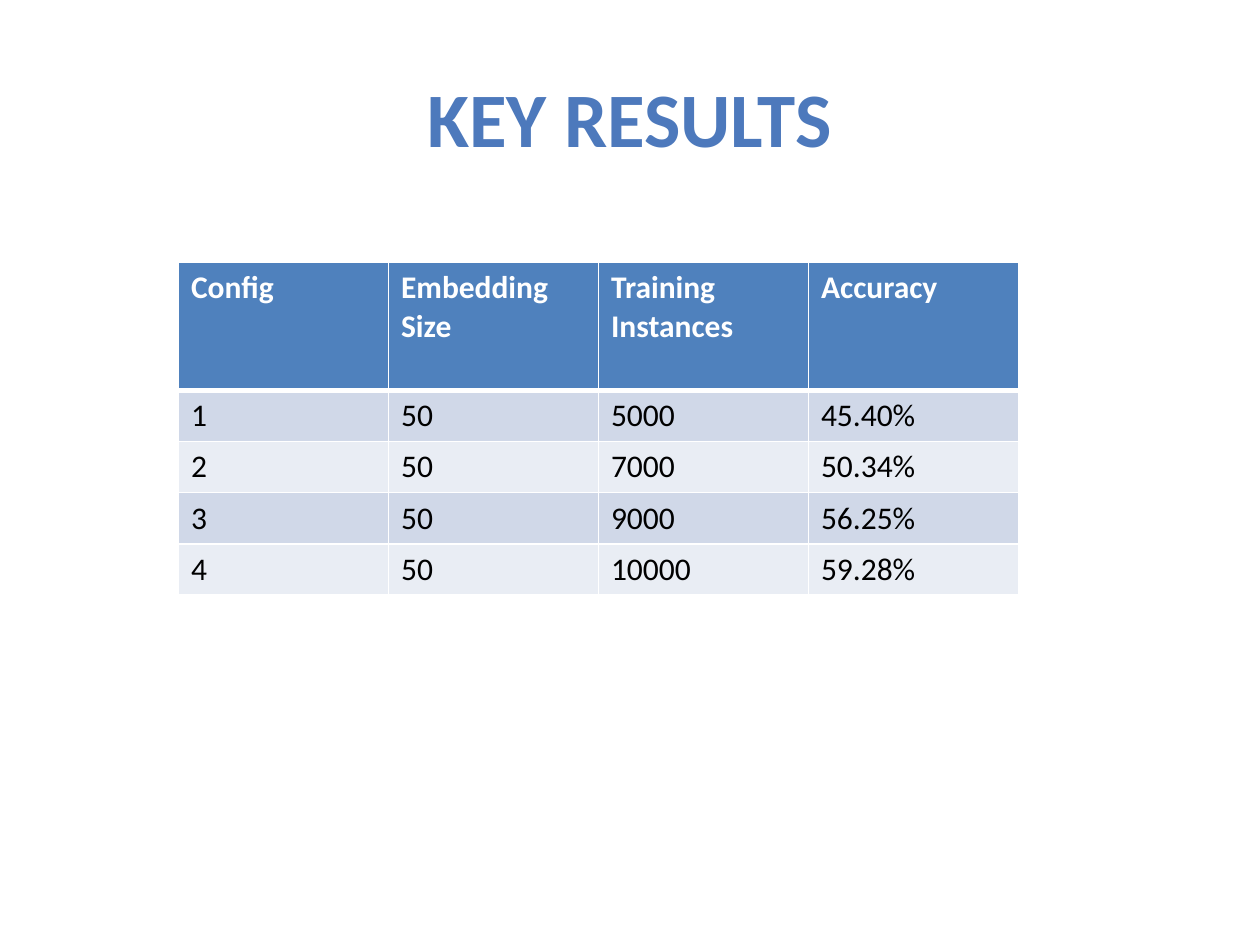
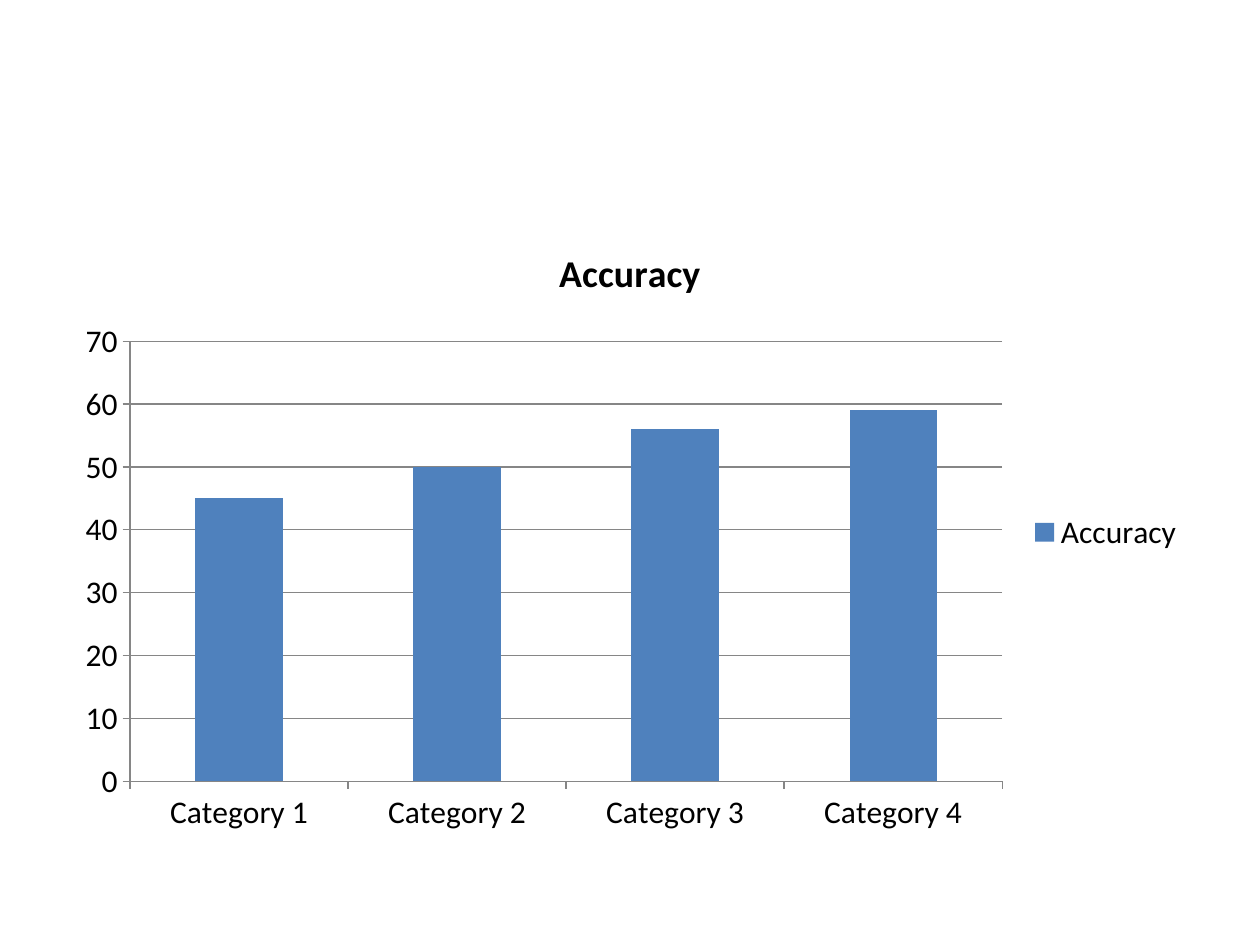
from dataclasses import dataclass

from lxml import etree
from pptx import Presentation
from pptx.chart.data import CategoryChartData
from pptx.dml.color import RGBColor
from pptx.enum import chart as ch, text
from pptx.oxml.ns import qn
from pptx.util import Pt


@dataclass(frozen=True)
class Theme:
    face: str = "Calibri"
    blue: str = "4F81BD"
    bands: tuple = ("D0D8E8", "E9EDF4")
    white: str = "FFFFFF"
    black: str = "000000"
    rule: str = "868686"
    fade: tuple = ((0, "7494C9"), (49, "4D79BC"), (50, "346AAA"),
                   (92, "325F94"), (100, "315D91"))
    head: int = 44
    body: int = 18
    label: float = 21.6


T = Theme()
HEADS = ("Config", "Embedding Size", "Training Instances", "Accuracy")
RUNS = ((1, 50, 5000, 45.40), (2, 50, 7000, 50.34),
        (3, 50, 9000, 56.25), (4, 50, 10000, 59.28))


def rgb(code):
    return RGBColor.from_string(code)


def style(font, size, color=None, bold=False):
    font.name, font.size, font.bold = T.face, Pt(size), bold
    if color:
        font.color.rgb = rgb(color)


# Title with a vertical colour fade
def title(slide, words):
    box = slide.shapes.add_textbox(Pt(36), Pt(21.6), Pt(648), Pt(90))
    frame = box.text_frame
    frame.word_wrap = True
    frame.vertical_anchor = text.MSO_ANCHOR.MIDDLE
    para = frame.paragraphs[0]
    para.text = words
    para.alignment = text.PP_ALIGN.CENTER
    style(para.font, T.head, bold=True)
    para.font.fill.gradient()
    para.font.fill.gradient_angle = 270
    stops = para._p.find(".//" + qn("a:gsLst"))
    for old in list(stops):
        stops.remove(old)
    for spot, code in T.fade:
        stop = etree.SubElement(stops, qn("a:gs"), pos=str(spot * 1000))
        etree.SubElement(stop, qn("a:srgbClr"), val=code)


# Table cells
def edge(cell, side, width):
    line = etree.SubElement(cell._tc.get_or_add_tcPr(), qn("a:ln" + side),
                            w=str(Pt(width)))
    fill = etree.SubElement(line, qn("a:solidFill"))
    etree.SubElement(fill, qn("a:srgbClr"), val=T.white)


def fill_cell(cell, words, row):
    top = row == 0
    widths = {"L": 1, "R": 1, "T": 3 if row == 1 else 1, "B": 3 if top else 1}
    for side, width in widths.items():
        edge(cell, side, width)
    cell.fill.solid()
    cell.fill.fore_color.rgb = rgb(T.blue if top else T.bands[(row - 1) % 2])
    para = cell.text_frame.paragraphs[0]
    para.text = words
    style(para.font, T.body, T.white if top else T.black, top)


def grid(slide):
    rows = [HEADS] + [(str(n), str(size), str(count), f"{score:.2f}%")
                      for n, size, count, score in RUNS]
    table = slide.shapes.add_table(len(rows), len(HEADS), Pt(102), Pt(150),
                                   Pt(480), Pt(190)).table
    table.horz_banding = False
    for r, row in enumerate(rows):
        table.rows[r].height = Pt(29.3 if r else 73)
        for c, words in enumerate(row):
            fill_cell(table.cell(r, c), words, r)


# Column chart of the accuracy scores, in whole percent
def bars(slide):
    name = HEADS[-1]
    data = CategoryChartData()
    data.categories = [f"Category {run[0]}" for run in RUNS]
    data.add_series(name, [round(run[-1]) for run in RUNS])
    chart = slide.shapes.add_chart(ch.XL_CHART_TYPE.COLUMN_CLUSTERED, Pt(36),
                                   Pt(126), Pt(648), Pt(356.4), data).chart
    style(chart.font, T.body, T.black)
    chart.has_title = True
    para = chart.chart_title.text_frame.paragraphs[0]
    para.text = name
    style(para.font, T.label, T.black, True)
    chart.has_legend = True
    chart.legend.position = ch.XL_LEGEND_POSITION.RIGHT
    chart.legend.include_in_layout = False

    plot = chart.plots[0]
    plot.gap_width = 150
    plot.vary_by_categories = False
    fill = plot.series[0].format.fill
    fill.solid()
    fill.fore_color.rgb = rgb(T.blue)

    axis = chart.value_axis
    axis.minimum_scale, axis.maximum_scale, axis.major_unit = 0, 70, 10
    axis.has_major_gridlines = True
    axis.tick_labels.number_format = "0"
    axis.tick_labels.number_format_is_linked = False
    for part in (axis, chart.category_axis):
        part.major_tick_mark = ch.XL_TICK_MARK.OUTSIDE
    for part in (axis, chart.category_axis, axis.major_gridlines):
        part.format.line.color.rgb = rgb(T.rule)
        part.format.line.width = Pt(0.75)


def main():
    deck = Presentation()
    deck.slide_width, deck.slide_height = Pt(720), Pt(540)
    blank = deck.slide_layouts[6]

    # Results table
    slide = deck.slides.add_slide(blank)
    title(slide, "KEY RESULTS")
    grid(slide)

    # Results chart
    bars(deck.slides.add_slide(blank))
    deck.save("out.pptx")


if __name__ == "__main__":
    main()
